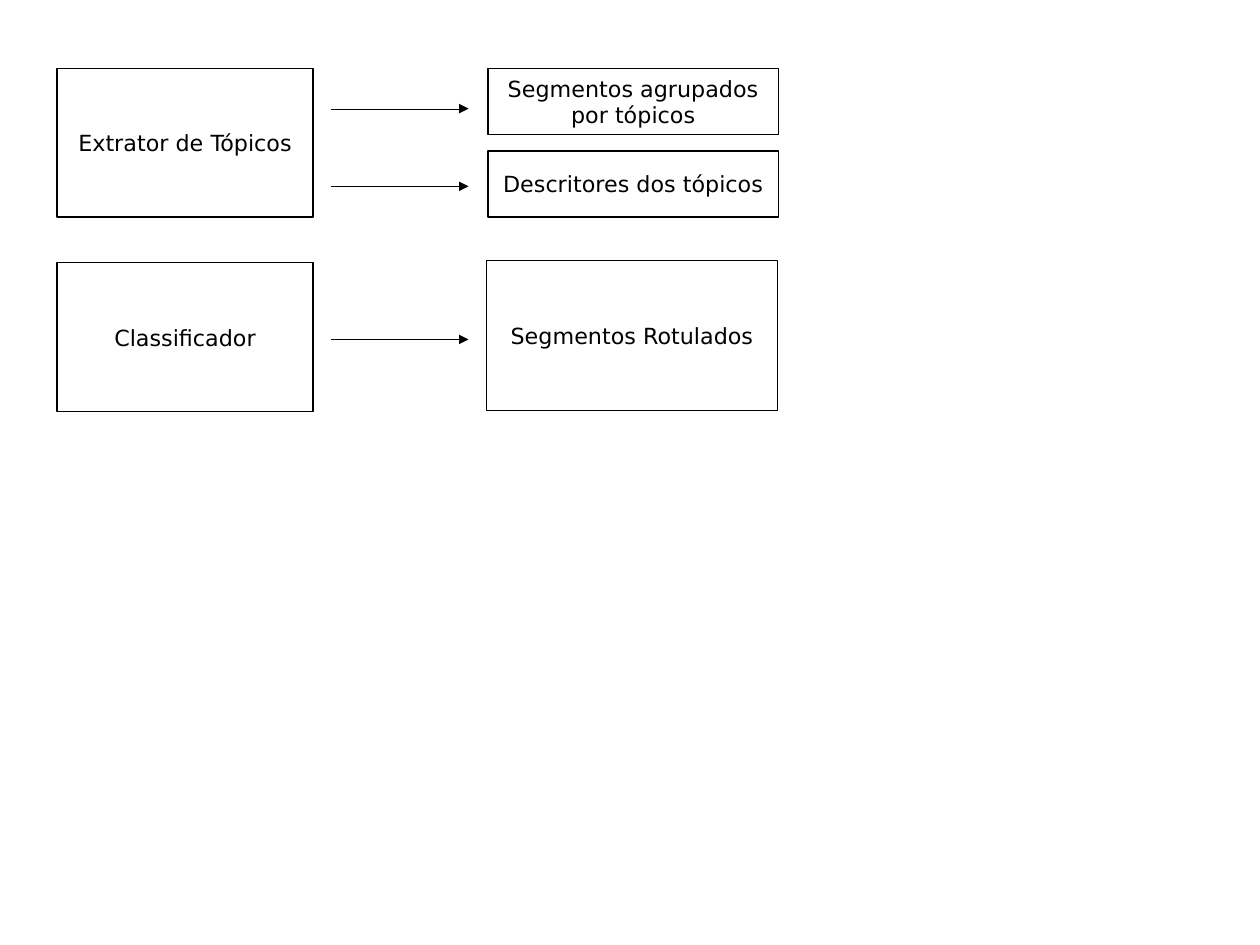
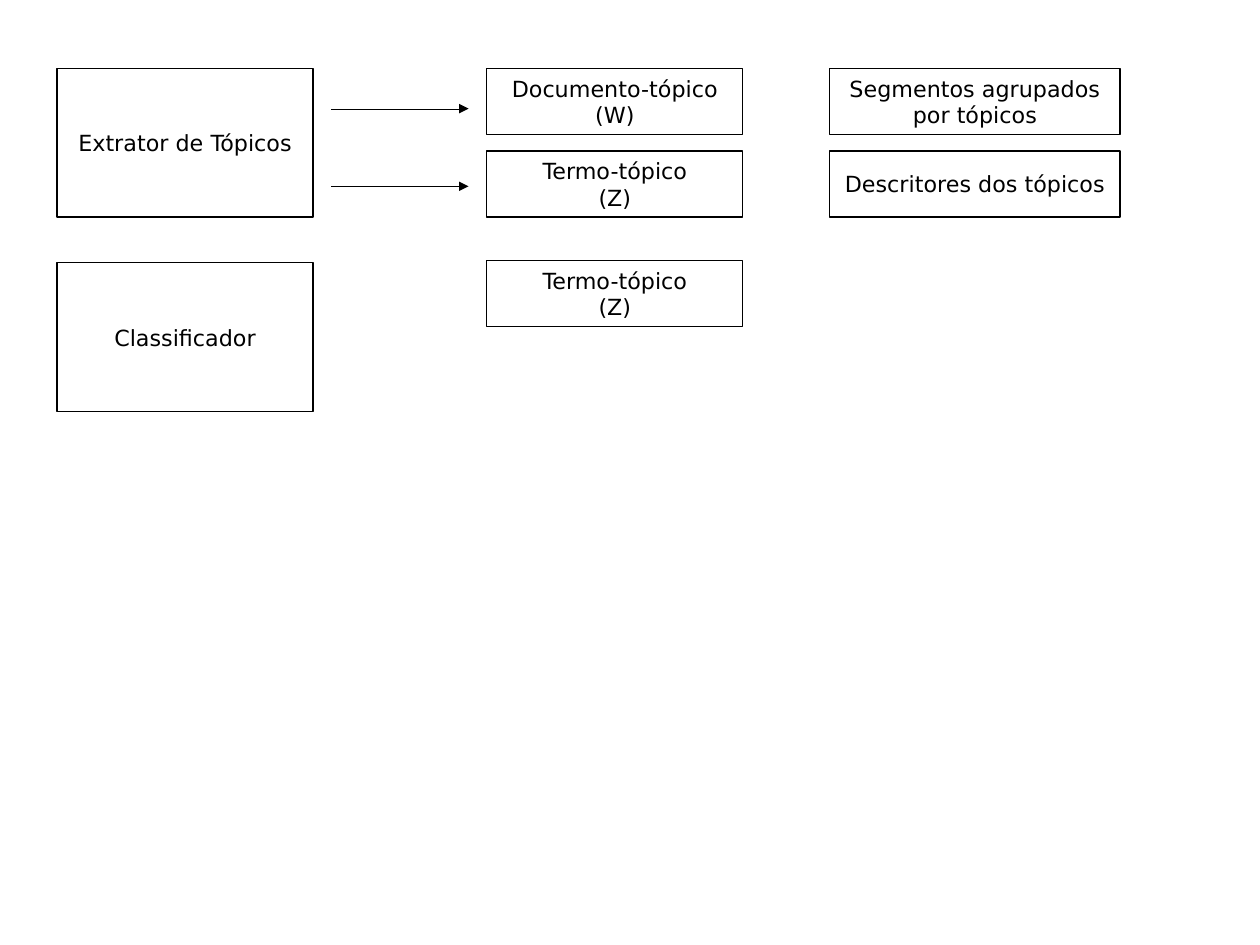
from pptx import Presentation
from pptx.dml.color import RGBColor
from pptx.enum.shapes import MSO_CONNECTOR, MSO_SHAPE
from pptx.enum.text import MSO_ANCHOR, PP_ALIGN
from pptx.oxml.ns import qn
from pptx.util import Cm, Inches, Pt
from lxml.etree import SubElement

COLORS = {"paper": "FFFFFF", "ink": "000000"}
FONT = "DejaVu Sans"
PAPER = RGBColor.from_string(COLORS["paper"])
INK = RGBColor.from_string(COLORS["ink"])

# Columns and rows, in inches
SOURCE_LEFT, RESULT_LEFT, OUTPUT_LEFT = 0.5, 4.26, 7.26
TOPIC_LEFT = 4.27
ROW_1, ROW_2, ROW_3 = 0.6, 1.32, 2.28
CLASSIFIER_TOP = 2.3
NARROW, WIDE = 2.24, 2.54
SHORT, TALL, LABELED_TALL = 0.58, 1.3, 1.31
ARROW_START, ARROW_END = 2.9, 4.1

GROUPED = "Segmentos agrupados\npor tópicos"
DESCRIPTORS = "Descritores dos tópicos"
TERM_TOPIC = "Termo-tópico\n(Z)"


def add_box(page, text, left, top, width, height):
    box = page.shapes.add_shape(
        MSO_SHAPE.RECTANGLE, Inches(left), Inches(top), Inches(width), Inches(height))
    box.shadow.inherit = False
    box.fill.solid()
    box.fill.fore_color.rgb = PAPER
    box.line.color.rgb = INK
    box.line.width = Pt(0.79)
    frame = box.text_frame
    frame.word_wrap = False
    frame.vertical_anchor = MSO_ANCHOR.MIDDLE
    frame.text = text
    for para in frame.paragraphs:
        para.alignment = PP_ALIGN.CENTER
        for span in para.runs:
            span.font.name = FONT
            span.font.size = Pt(14)
            span.font.color.rgb = INK


def add_arrow(page, y):
    """Draw a hairline arrow from the source column to the result column."""
    arrow = page.shapes.add_connector(
        MSO_CONNECTOR.STRAIGHT,
        Inches(ARROW_START), Inches(y), Inches(ARROW_END), Inches(y))
    arrow.line.color.rgb = INK
    properties = arrow._element.spPr
    line = properties.find(qn("a:ln"))
    line.set("w", "0")
    SubElement(line, qn("a:tailEnd"), type="triangle")
    SubElement(properties, qn("a:effectLst"))


# Each slide: its own boxes and the heights of its arrows
slides = [
    ([
        ("Segmentos Rotulados", RESULT_LEFT, ROW_3, WIDE, LABELED_TALL),
        (GROUPED, TOPIC_LEFT, ROW_1, WIDE, SHORT),
        (DESCRIPTORS, TOPIC_LEFT, ROW_2, WIDE, SHORT),
    ], [0.95, 1.63, 2.97]),
    ([
        ("Documento-tópico\n(W)", RESULT_LEFT, ROW_1, NARROW, SHORT),
        (TERM_TOPIC, RESULT_LEFT, ROW_2, NARROW, SHORT),
        (TERM_TOPIC, RESULT_LEFT, ROW_3, NARROW, SHORT),
        (GROUPED, OUTPUT_LEFT, ROW_1, WIDE, SHORT),
        (DESCRIPTORS, OUTPUT_LEFT, ROW_2, WIDE, SHORT),
    ], [0.95, 1.63]),
]

deck = Presentation()
# The page is metric: 28 by 21 cm
deck.slide_width = Cm(28)
deck.slide_height = Cm(21)
background = deck.slide_master.background.fill
background.solid()
background.fore_color.rgb = PAPER
blank_layout = deck.slide_layouts[6]

for boxes, arrows in slides:
    page = deck.slides.add_slide(blank_layout)
    add_box(page, "Extrator de Tópicos", SOURCE_LEFT, ROW_1, NARROW, TALL)
    add_box(page, "Classificador", SOURCE_LEFT, CLASSIFIER_TOP, NARROW, TALL)
    for text, left, top, width, height in boxes:
        add_box(page, text, left, top, width, height)
    for y in arrows:
        add_arrow(page, y)

deck.save("out.pptx")
